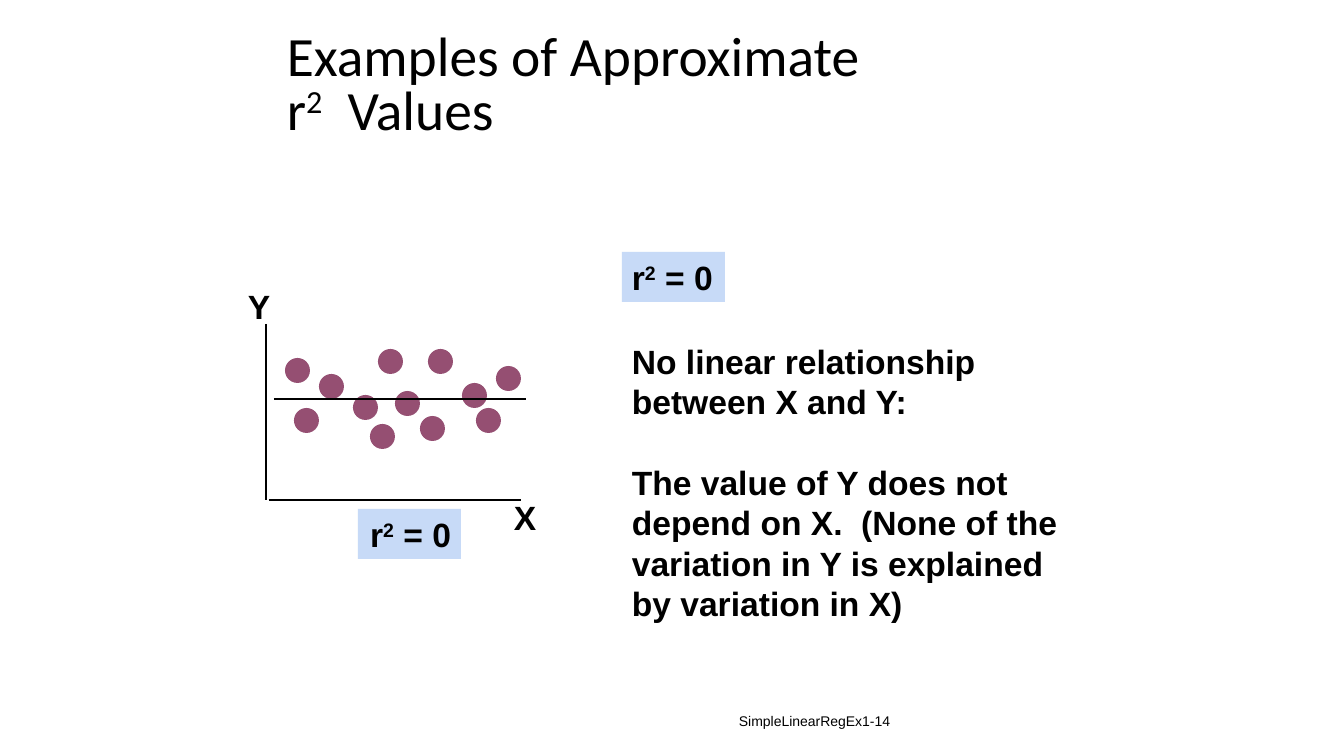
from lxml import etree
from pptx import Presentation
from pptx import util as u
from pptx.dml.color import RGBColor
from pptx.enum import shapes, text
from pptx.oxml.ns import qn

EMU_PER_PX = 914400 / 100.8
BLACK = RGBColor(0x00, 0x00, 0x00)
PALE_BLUE = RGBColor(0xC7, 0xDA, 0xF7)
PLUM = RGBColor(0x95, 0x4F, 0x72)

LINE_PITCH = u.Pt(28.8)
DOT_SIZE = 25
DOTS = [
    (294, 408), (496, 366), (462, 383), (420, 416), (428, 349), (378, 349),
    (285, 358), (319, 374), (353, 395), (395, 391), (370, 424), (476, 408),
]


def px(*lengths):
    return [u.Emu(round(length * EMU_PER_PX)) for length in lengths]


def set_font(para, size, name="Arial", bold=False):
    para.font.name = name
    para.font.size = u.Pt(size)
    para.font.bold = bold
    para.font.color.rgb = BLACK


def set_bold_text(para):
    set_font(para, 24, bold=True)
    para.line_spacing = LINE_PITCH


def add_span(para, words, raised=False):
    span = para.add_run()
    span.text = words
    if raised:
        span._r.get_or_add_rPr().set("baseline", "30000")


def add_box(page, left, top, width, height, wrap=True):
    box = page.shapes.add_textbox(*px(left, top, width, height))
    box.text_frame.word_wrap = wrap
    return box.text_frame


def add_title(page):
    frame = add_box(page, 277, 33, 859, 109)
    frame.vertical_anchor = text.MSO_ANCHOR.MIDDLE
    para = frame.paragraphs[0]
    set_font(para, 39.6, "Calibri")
    para.line_spacing = 0.8
    add_span(para, "Examples of Approximate ")
    para.add_line_break()
    add_span(para, "r")
    add_span(para, "2", raised=True)
    add_span(para, "  Values")


def add_badge(page, left, top, align):
    badge = page.shapes.add_shape(
        shapes.MSO_SHAPE.RECTANGLE, *px(left, top, 103, 50))
    badge.shadow.inherit = False
    badge.fill.solid()
    badge.fill.fore_color.rgb = PALE_BLUE
    badge.line.fill.background()
    badge.text_frame.word_wrap = False
    badge.text_frame.vertical_anchor = text.MSO_ANCHOR.TOP
    para = badge.text_frame.paragraphs[0]
    para.alignment = align
    set_bold_text(para)
    add_span(para, "r")
    add_span(para, "2", raised=True)
    add_span(para, " = 0")


def add_explanation(page, statements):
    frame = add_box(page, 622, 336, 462, 295)
    for index, statement in enumerate(statements):
        para = frame.add_paragraph() if index else frame.paragraphs[0]
        set_bold_text(para)
        add_span(para, statement)
        if index:
            para.space_before = LINE_PITCH


def add_dot(page, left, top):
    dot = page.shapes.add_shape(
        shapes.MSO_SHAPE.OVAL, *px(left, top, DOT_SIZE, DOT_SIZE))
    dot.shadow.inherit = False
    dot.fill.solid()
    dot.fill.fore_color.rgb = PLUM
    dot.line.fill.background()


def add_line(page, x1, y1, x2, y2):
    line = page.shapes.add_connector(
        shapes.MSO_CONNECTOR.STRAIGHT, *px(x1, y1, x2, y2))
    line.line.color.rgb = BLACK
    line.line.width = u.Pt(2)
    etree.SubElement(line._element.spPr, qn("a:effectLst"))


def add_axis_label(page, letter, left, top):
    para = add_box(page, left, top, 42, 50, wrap=False).paragraphs[0]
    set_bold_text(para)
    add_span(para, letter)


def add_footer(page, words):
    frame = add_box(page, 446, 701, 454, 40)
    frame.vertical_anchor = text.MSO_ANCHOR.MIDDLE
    para = frame.paragraphs[0]
    para.alignment = text.PP_ALIGN.RIGHT
    set_font(para, 10)
    add_span(para, words)


def add_scatter(page):
    for left, top in DOTS:
        add_dot(page, left, top)
    add_line(page, 266, 324, 266, 500)
    add_line(page, 269, 500, 521, 500)
    add_line(page, 274, 399, 526, 399)
    add_axis_label(page, "Y", 238, 281)
    add_axis_label(page, "X", 504, 492)


def main():
    deck = Presentation()
    deck.slide_width, deck.slide_height = px(1344, 756)
    page = deck.slides.add_slide(deck.slide_layouts[6])
    add_title(page)
    add_badge(page, 622, 252, text.PP_ALIGN.LEFT)
    add_explanation(page, [
        "No linear relationship between X and Y:",
        "The value of Y does not depend on X.  (None of the variation "
        "in Y is explained by variation in X)",
    ])
    add_scatter(page)
    add_badge(page, 358, 509, text.PP_ALIGN.RIGHT)
    add_footer(page, "SimpleLinearRegEx1-14")
    deck.save("out.pptx")


if __name__ == "__main__":
    main()
